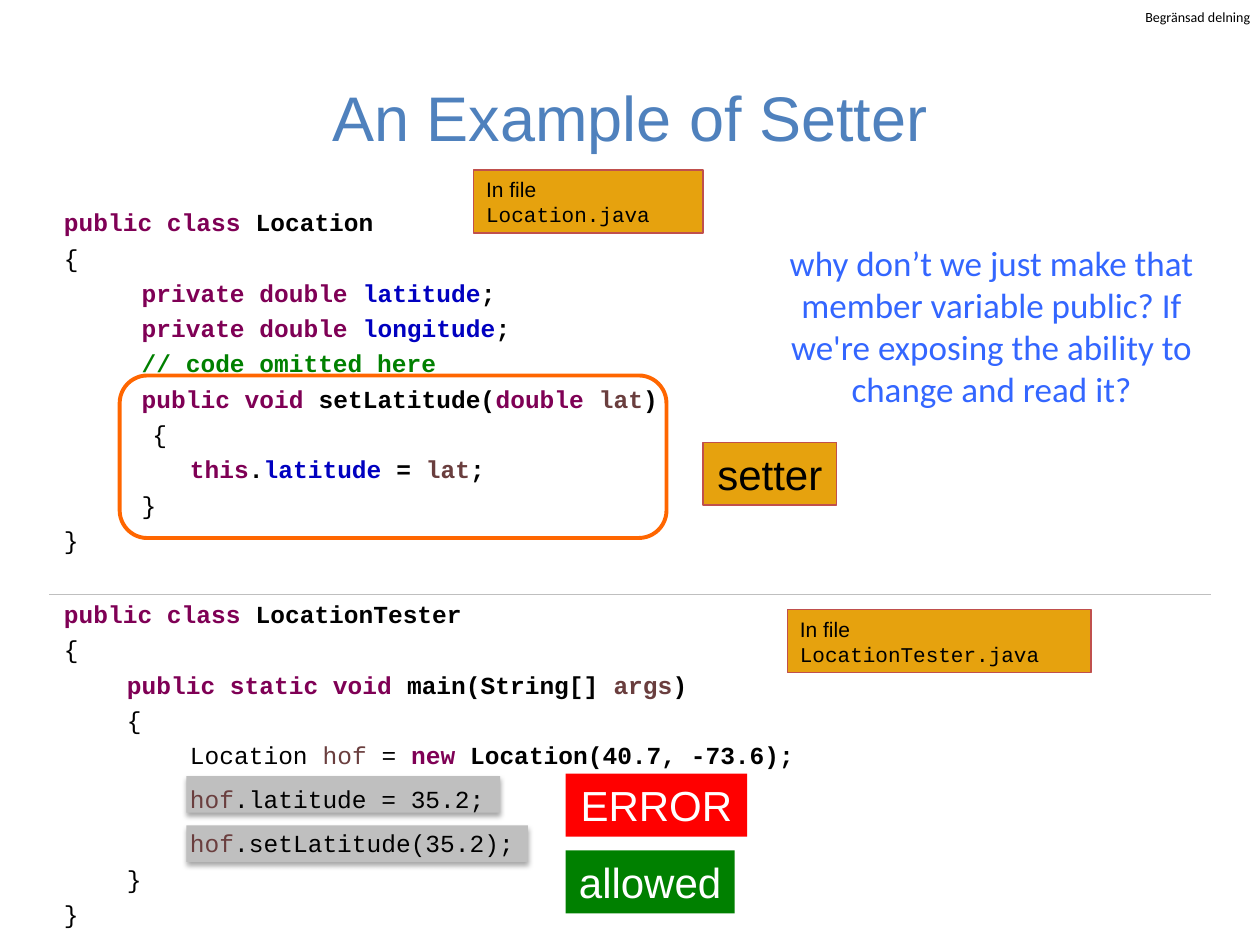
from typing import NamedTuple, Optional

from lxml.etree import SubElement
from pptx import Presentation
from pptx.dml.color import RGBColor
from pptx.enum.shapes import MSO_CONNECTOR as Link, MSO_SHAPE as Form
from pptx.enum.text import MSO_ANCHOR as Anchor, PP_ALIGN as Align
from pptx.oxml.ns import qn
from pptx.util import Inches, Pt

BLACK = RGBColor(0x00, 0x00, 0x00)
WHITE = RGBColor(0xFF, 0xFF, 0xFF)
PURPLE = RGBColor(0x7F, 0x00, 0x55)
NAVY = RGBColor(0x00, 0x00, 0xC0)
GREEN = RGBColor(0x00, 0x80, 0x00)
BROWN = RGBColor(0x6A, 0x3E, 0x3E)
GREY = RGBColor(0xBF, 0xBF, 0xBF)
GOLD = RGBColor(0xE6, 0xA2, 0x0E)
BRICK = RGBColor(0xC0, 0x50, 0x4D)
RED = RGBColor(0xFF, 0x00, 0x00)
ORANGE = RGBColor(0xFF, 0x66, 0x00)
STEEL = RGBColor(0x4F, 0x81, 0xBD)
BLUE = RGBColor(0x33, 0x66, 0xFF)

SANS, BODY, MONO = "Arial", "Calibri", "Courier New"


class Run(NamedTuple):
    text: str
    color: RGBColor = BLACK
    bold: bool = False
    font: str = MONO
    size: float = 14


class Line(NamedTuple):
    runs: list[Run]
    space: float = 1.2


class Box(NamedTuple):
    left: float
    top: float
    width: float
    height: float


class Label(NamedTuple):
    box: Box
    runs: list[Run]
    fill: RGBColor = GOLD
    edge: Optional[RGBColor] = BRICK
    wrap: bool = False


def plain(text: str) -> Run:
    return Run(text)


def bold(text: str) -> Run:
    return Run(text, BLACK, True)


def key(text: str) -> Run:
    return Run(text, PURPLE, True)


def field(text: str) -> Run:
    return Run(text, NAVY, True)


def big(text: str, color: RGBColor = BLACK) -> Run:
    return Run(text, color, font=SANS, size=24)


def in_file(name: str) -> list[Run]:
    return [Run("In file ", font=SANS, size=12), Run(name, size=12)]


def lengths(box: Box) -> list[int]:
    return [Inches(side) for side in box]


def add_runs(para, runs: list[Run], align=Align.LEFT) -> None:
    para.alignment = align
    for item in runs:
        run = para.add_run()
        run.text = item.text
        font = run.font
        font.name, font.size, font.bold = item.font, Pt(item.size), item.bold
        font.color.rgb = item.color


def add_text(slide, box: Box, lines: list[Line], align=Align.LEFT):
    frame = slide.shapes.add_textbox(*lengths(box)).text_frame
    frame.word_wrap = True
    for i, line in enumerate(lines):
        para = frame.add_paragraph() if i else frame.paragraphs[0]
        para.line_spacing = line.space
        para._p.get_or_add_pPr().set("defTabSz", str(Inches(0.5)))
        add_runs(para, line.runs, align)
    return frame


def add_form(slide, form: Form, box: Box, fill=None, edge=None, width=0.75):
    shape = slide.shapes.add_shape(form, *lengths(box))
    shape.shadow.inherit = False
    if fill is None:
        shape.fill.background()
    else:
        shape.fill.solid()
        shape.fill.fore_color.rgb = fill
    if edge is None:
        shape.line.fill.background()
    else:
        shape.line.color.rgb = edge
        shape.line.width = Pt(width)
    return shape


def add_label(slide, label: Label) -> None:
    shape = add_form(slide, Form.RECTANGLE, label.box, label.fill, label.edge)
    frame = shape.text_frame
    frame.word_wrap = label.wrap
    align = Align.LEFT if label.wrap else Align.CENTER
    add_runs(frame.paragraphs[0], label.runs, align)


def add_mark(slide, box: Box) -> None:
    """Grey bar with a soft shadow behind a line of code."""
    shape = add_form(slide, Form.RECTANGLE, box, GREY)
    effects = shape._element.spPr.find(qn("a:effectLst"))
    shadow = SubElement(effects, qn("a:outerShdw"), blurRad=str(Pt(3.1)),
                        dist=str(Pt(1.8)), dir="5400000", rotWithShape="0")
    color = SubElement(shadow, qn("a:srgbClr"), val=str(BLACK))
    SubElement(color, qn("a:alpha"), val="35000")


def add_rule(slide, left: float, right: float, top: float) -> None:
    rule = slide.shapes.add_connector(
        Link.STRAIGHT, Inches(left), Inches(top), Inches(right), Inches(top))
    rule.line.color.rgb = GREY
    rule.line.width = Pt(0.25)
    SubElement(rule._element.spPr, qn("a:effectLst"))


CLASS = [
    Line([key("public class"), bold(" Location")]),
    Line([plain("{")]),
    *(Line([plain("   \t "), key("private double "), field(name), bold(";")])
      for name in ("latitude", "longitude")),
    Line([key("\t "), Run("// code omitted here", GREEN, True)]),
    Line([bold("\t "), key("public void"), bold(" setLatitude("),
          key("double "), Run("lat", BROWN, True), bold(")")]),
    Line([plain("      {")]),
    Line([bold("\t\t"), key("this"), bold("."), field("latitude "),
          bold("= "), Run("lat", BROWN, True), bold(";")]),
    Line([plain("\t }")]),
    Line([plain("}")]),
]
TESTER = [
    Line([key("public class"), bold(" LocationTester")]),
    Line([plain("{")]),
    Line([plain("\t"), key("public static void"), bold(" main(String[] "),
          Run("args", BROWN, True), bold(")")]),
    Line([plain(" \t{")]),
    Line([plain("\t\tLocation "), Run("hof", BROWN), plain(" = "),
          key("new"), bold(" Location(40.7, -73.6);")]),
    *(Line([plain("\t\t"), Run("hof", BROWN), plain(call)], 1.5)
      for call in (".latitude = 35.2;", ".setLatitude(35.2);")),
    Line([plain("\t}")]),
    Line([plain("}")]),
]
LABELS = [
    Label(Box(3.76, 1.35, 1.82, 0.5), in_file("Location.java"), wrap=True),
    Label(Box(6.25, 4.84, 2.41, 0.5), in_file("LocationTester.java"), wrap=True),
    Label(Box(5.58, 3.51, 1.06, 0.5), [big("setter")]),
    Label(Box(4.49, 6.14, 1.44, 0.5), [big("ERROR", WHITE)], RED, None),
    Label(Box(4.49, 6.75, 1.34, 0.5), [big("allowed", WHITE)], GREEN, None),
]
MARKS = [Box(1.48, 6.55, 2.71, 0.29), Box(1.48, 6.16, 2.49, 0.29)]
ASK = ("why don’t we just make that member variable public? "
       "If we're exposing the ability to change and read it?")


def main() -> None:
    deck = Presentation()
    deck.slide_width, deck.slide_height = Inches(10), Inches(7.5)
    slide = deck.slides.add_slide(deck.slide_layouts[5])

    title = slide.shapes.title
    title.left, title.top, title.width, title.height = lengths(Box(0.5, 0.3, 9, 1.25))
    title.text_frame.vertical_anchor = Anchor.MIDDLE
    add_runs(title.text_frame.paragraphs[0],
             [Run("An Example of Setter", STEEL, font=SANS, size=36)], Align.CENTER)

    note = add_text(slide, Box(9.09, 0.07, 0.86, 0.13),
                    [Line([Run("Begränsad delning", font=BODY, size=8)], 1)])
    note.margin_left = note.margin_right = note.margin_top = note.margin_bottom = 0
    note.word_wrap = False

    for box in MARKS:
        add_mark(slide, box)
    add_text(slide, Box(0.41, 1.55, 8.97, 2.92), CLASS)
    add_text(slide, Box(0.41, 4.66, 7.46, 2.78), TESTER)
    add_rule(slide, 0.39, 9.61, 4.72)
    for label in LABELS:
        add_label(slide, label)
    frame = add_form(slide, Form.ROUNDED_RECTANGLE, Box(0.95, 2.98, 4.34, 1.29),
                     edge=ORANGE, width=2.25)
    frame.adjustments[0] = 0.17
    add_text(slide, Box(6.07, 1.87, 3.6, 1.45),
             [Line([Run(ASK, BLUE, font=BODY, size=20)], 1)], Align.CENTER)
    deck.save("out.pptx")


if __name__ == "__main__":
    main()
